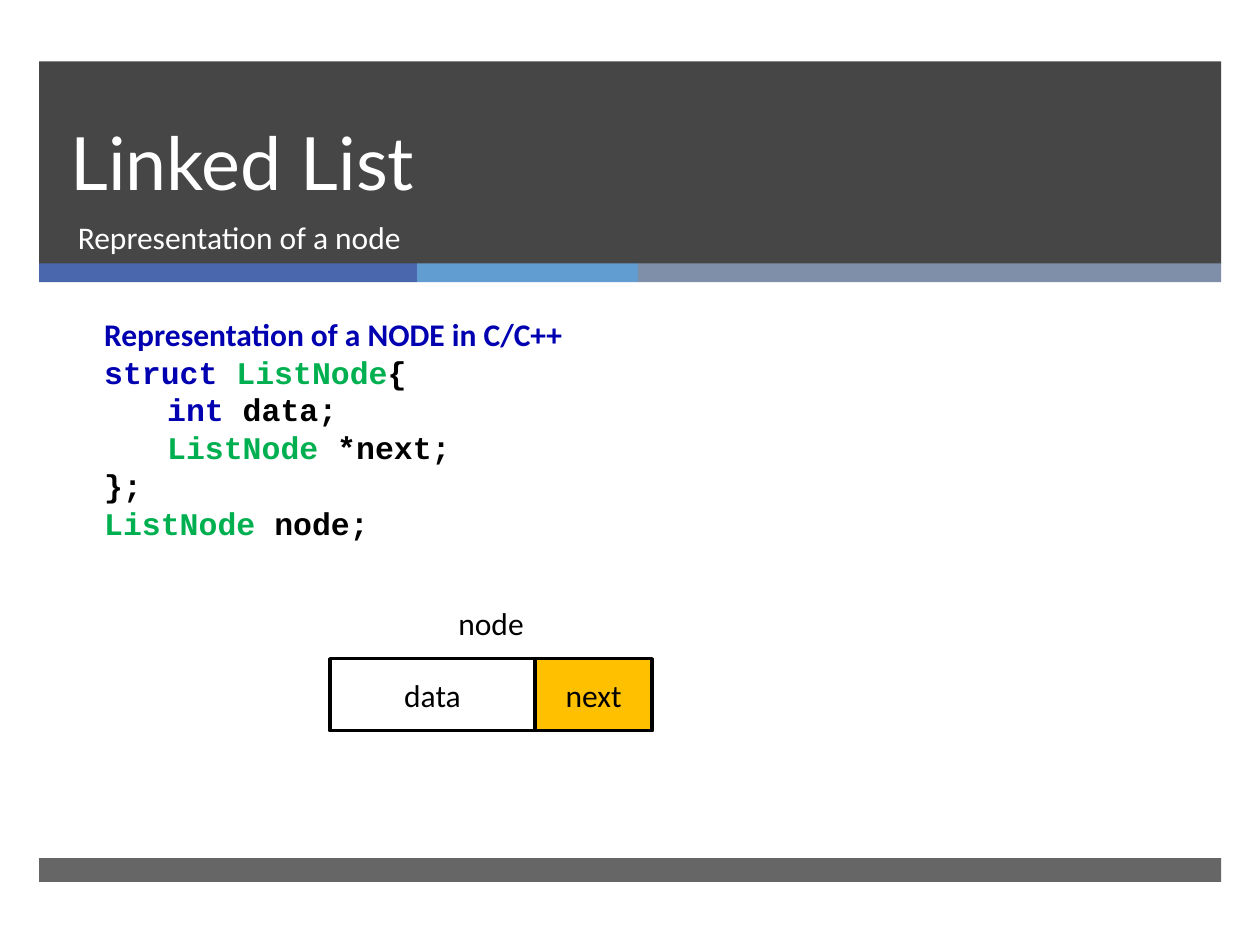
"""Build the slide that shows how a linked list node is declared and drawn."""
import lxml.etree
import pptx
import pptx.dml.color
import pptx.enum.shapes
import pptx.enum.text
import pptx.oxml.ns
import pptx.util

Cm = pptx.util.Cm
Pt = pptx.util.Pt
Rgb = pptx.dml.color.RGBColor.from_string
Align = pptx.enum.text.PP_ALIGN
Anchor = pptx.enum.text.MSO_ANCHOR

theme = {
    "dark": "262626", "blue": "4A66AC", "sky": "629DD1", "slate": "7F8FA9",
    "white": "FFFFFF", "black": "000000", "key": "0000B0", "type": "00B050",
    "gold": "FFC000", "big": 42, "text": 18, "lead": 46,
    "head": "Lato", "body": "Calibri", "code": "Courier New",
}

deck = pptx.Presentation()
deck.slide_width, deck.slide_height = Cm(25.4), Cm(19.05)
slide = deck.slides.add_slide(deck.slide_layouts[6])


def block(x, y, w, h, fill=None, alpha=100):
    kind = pptx.enum.shapes.MSO_SHAPE.RECTANGLE
    shape = slide.shapes.add_shape(kind, Cm(x), Cm(y), Cm(w), Cm(h))
    shape.shadow.inherit = False
    shape.line.fill.background()
    if fill is None:
        shape.fill.background()
    else:
        shape.fill.solid()
        shape.fill.fore_color.rgb = Rgb(theme[fill])
    if alpha < 100:
        tone = shape.fill._xPr.find(".//" + pptx.oxml.ns.qn("a:srgbClr"))
        lxml.etree.SubElement(tone, pptx.oxml.ns.qn("a:alpha"), val=str(alpha * 1000))
    return shape


def write(shape, lines, size="text", font="body", bold=False, align=Align.LEFT, anchor=Anchor.TOP):
    frame = shape.text_frame
    frame.word_wrap = True
    frame.vertical_anchor = anchor
    frame.text = "\n".join("".join(part for part, tint in line) for line in lines)
    for para, line in zip(frame.paragraphs, lines):
        para.text = ""
        para.alignment = align
        for part, tint in line:
            run = para.add_run()
            run.text = part
            run.font.size = Pt(theme[size])
            run.font.name = theme[font]
            run.font.bold = bold
            run.font.color.rgb = Rgb(theme[tint])
    return frame


left, wide = 0.79, 23.83
block(left, 1.24, wide, 4.09, "dark", 85)
x = left
for w, fill in [(7.62, "blue"), (4.45, "sky"), (11.76, "slate")]:
    block(x, 5.31, w, 0.38, fill)
    x += w
block(left, 17.3, wide, 0.48, "dark", 70)

title = slide.shapes.add_textbox(Cm(1.17), Cm(1.24), Cm(21.69), Cm(3.02))
frame = write(title, [[("Linked List", "white")]], "big", "head", anchor=Anchor.BOTTOM)
frame.paragraphs[0].line_spacing = Pt(theme["lead"])

sub = slide.shapes.add_textbox(Cm(1.32), Cm(4.27), Cm(21.54), Cm(1.35))
write(sub, [[("Representation of a node", "white")]])

code = [
    [("Representation of a NODE in C/C++", "key")],
    [("struct ", "key"), ("ListNode", "type"), ("{", "black")],
    [("\t", "key"), ("int", "key"), (" data;", "black")],
    [("\t", "key"), ("ListNode", "type"), (" *next;", "black")],
    [("};", "black")],
    [("ListNode ", "type"), ("node;", "black")],
]
body = slide.shapes.add_textbox(Cm(1.85), Cm(6.22), Cm(21.56), Cm(4.88))
frame = write(body, code, font="code", bold=True)
frame.paragraphs[0].runs[0].font.name = theme["body"]

left, top, high = 6.65, 13.28, 1.45
x = left
for name, w, fill in [("data", 4.14, None), ("next", 2.36, "gold")]:
    cell = block(x, top, w, high, fill)
    cell.line.color.rgb = Rgb(theme["black"])
    cell.line.width = Pt(2)
    write(cell, [[(name, "black")]], align=Align.CENTER, anchor=Anchor.MIDDLE)
    x += w

label = slide.shapes.add_textbox(Cm(left), Cm(top - high), Cm(x - left), Cm(high))
write(label, [[("node", "black")]], align=Align.CENTER, anchor=Anchor.MIDDLE)

deck.save("out.pptx")
